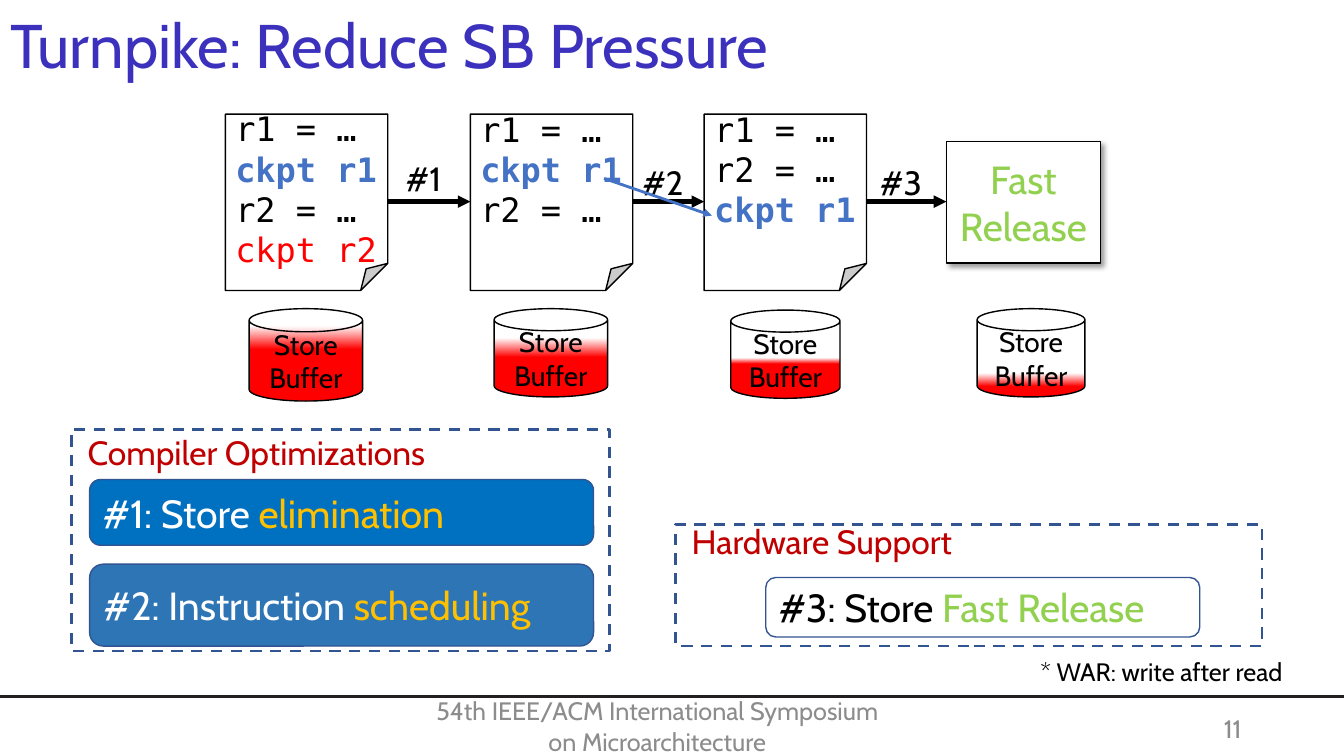
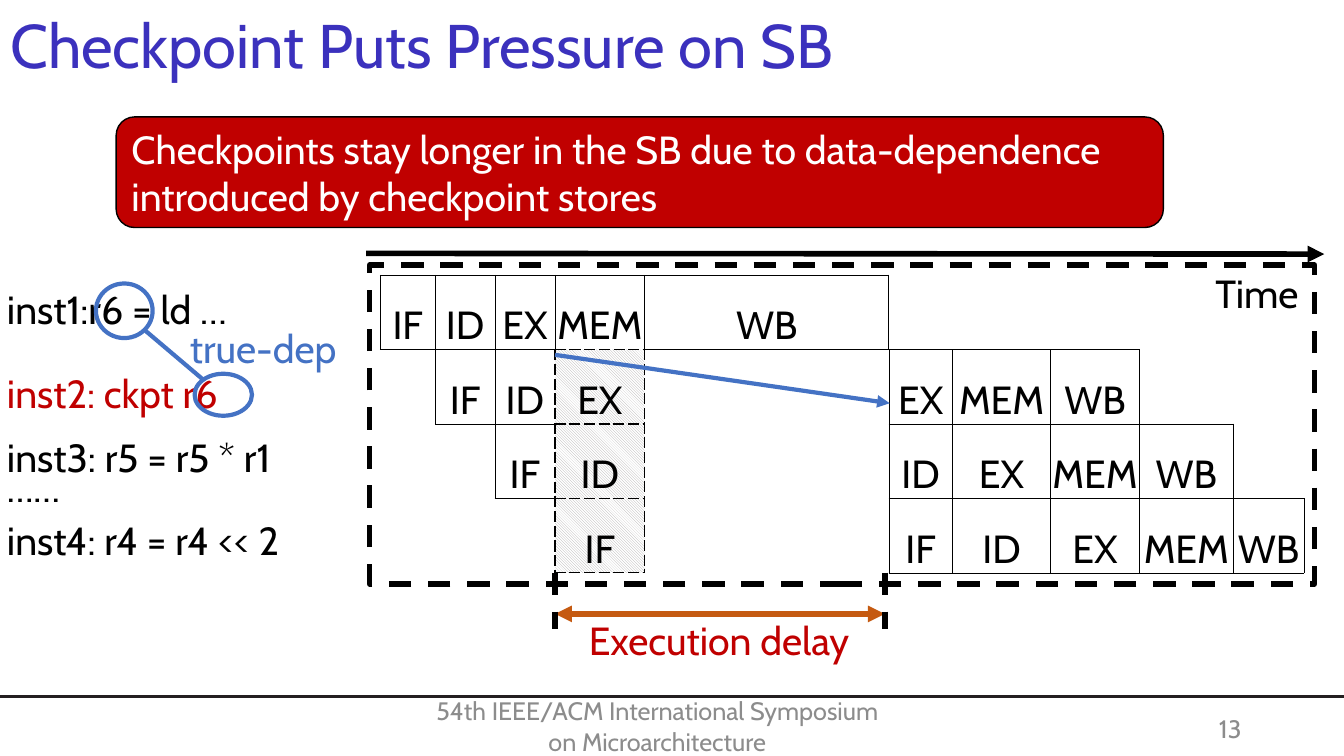
from itertools import accumulate

from lxml.etree import SubElement
from pptx import Presentation
from pptx.dml.color import RGBColor
from pptx.enum.dml import MSO_LINE, MSO_PATTERN
from pptx.enum.shapes import MSO_CONNECTOR, MSO_SHAPE
from pptx.enum.text import MSO_ANCHOR, MSO_AUTO_SIZE, PP_ALIGN
from pptx.oxml.ns import qn
from pptx.util import Pt

COLORS = {
    "title": "3B31BD", "footer": "8C8C8C", "rule": "231F20",
    "black": "000000", "white": "FFFFFF", "red": "FF0000",
    "crimson": "C00000", "blue": "4472C4", "navy": "325491",
    "bar": "0070C0", "bar_soft": "2E75B6", "gold": "FFC000",
    "green": "92D050", "orange": "C55A11", "hatch": "AEAAAA",
}
FONT, CODE_FONT = "Cabin", "DejaVu Sans Mono"
LEFT, CENTER, RIGHT = PP_ALIGN.LEFT, PP_ALIGN.CENTER, PP_ALIGN.RIGHT
TOP, MIDDLE = MSO_ANCHOR.TOP, MSO_ANCHOR.MIDDLE


def rgb(name):
    return RGBColor.from_string(COLORS[name])


def points(*lengths):
    return [Pt(length) for length in lengths]


def write(frame, paras, size, align=LEFT, anchor=MIDDLE, font=FONT):
    """Fill a text frame; each paragraph is a list of (text, colour) spans, bold if a third item is true."""
    frame.word_wrap = True
    frame.vertical_anchor = anchor
    for index, spans in enumerate(paras):
        para = frame.add_paragraph() if index else frame.paragraphs[0]
        para.alignment = align
        for text, color, *bold in spans:
            span = para.add_run()
            span.text = text
            span.font.name = font
            span.font.size = Pt(size)
            span.font.bold = any(bold)
            span.font.color.rgb = rgb(color)


def add_label(page, box, text, size, color="black", align=LEFT, anchor=TOP):
    label = page.shapes.add_textbox(*points(*box))
    write(label.text_frame, [[(text, color)]], size, align, anchor)
    return label


def add_box(page, kind, box, fill=None, line="black", width=1, dash=None):
    shape = page.shapes.add_shape(kind, *points(*box))
    shape.shadow.inherit = False
    if fill:
        shape.fill.solid()
        shape.fill.fore_color.rgb = rgb(fill)
    else:
        shape.fill.background()
    shape.line.color.rgb = rgb(line)
    shape.line.width = Pt(width)
    if dash:
        shape.line.dash_style = dash
    return shape


def add_line(page, start, end, color="black", width=3, ends=(), dash=None):
    """Draw a line with a triangle at each of the named ends (headEnd, tailEnd)."""
    line = page.shapes.add_connector(MSO_CONNECTOR.STRAIGHT, *points(*start, *end))
    line.line.color.rgb = rgb(color)
    line.line.width = Pt(width)
    if dash:
        line.line.dash_style = dash
    outline = line.line._get_or_add_ln()
    for name in ends:
        SubElement(outline, qn(f"a:{name}"), type="triangle")
    SubElement(line._element.spPr, qn("a:effectLst"))


def add_page(deck, title, number, title_width):
    """Add a slide with the shared title, rule and footer."""
    page = deck.slides.add_slide(deck.slide_layouts[5])
    heading = page.shapes.title
    heading.left, heading.top, heading.width, heading.height = points(0, 0, title_width, 62)
    write(heading.text_frame, [[(title, "title")]], 44)
    heading.text_frame.auto_size = MSO_AUTO_SIZE.NONE
    add_line(page, (0, 497.5), (960, 497.5), "rule", 1.5)
    add_label(page, (297.5, 502, 344, 33),
              "54th IEEE/ACM International Symposium on Microarchitecture",
              18, "footer", CENTER, MIDDLE)
    add_label(page, (678, 506, 216, 29), number, 18, "footer", RIGHT, MIDDLE)
    return page


def add_code_note(page, box, lines):
    note = add_box(page, MSO_SHAPE.FOLDED_CORNER, box, "white")
    write(note.text_frame, [[line] for line in lines], 24, font=CODE_FONT)
    note.text_frame.margin_top = note.text_frame.margin_right = 0
    note.text_frame.margin_bottom = Pt(28 * (4 - len(lines)))


def add_store_buffer(page, box, full, empty):
    """Draw a buffer filled with red up to a share of its height, fading out at another."""
    can = add_box(page, MSO_SHAPE.CAN, box, "white")
    can.fill.gradient()
    can.fill.gradient_angle = 90
    for stop, position, color in zip(can.fill.gradient_stops, (full, empty), ("red", "white")):
        stop.position = position
        stop.color.rgb = rgb(color)
    write(can.text_frame, [[("Store Buffer", "black")]], 20, CENTER)


def add_release_card(page, box):
    card = add_box(page, MSO_SHAPE.RECTANGLE, box, "white")
    effects = card._element.spPr.find(qn("a:effectLst"))
    shadow = SubElement(effects, qn("a:outerShdw"), blurRad=str(Pt(4)), dist=str(Pt(3)),
                        dir="2700000", algn="tl", rotWithShape="0")
    shade = SubElement(shadow, qn("a:srgbClr"), val=COLORS["black"])
    SubElement(shade, qn("a:alpha"), val="40000")
    write(card.text_frame, [[("Fast Release", "green")]], 28, CENTER)


def add_optimization_flow(page, left, top):
    """Draw code notes, the arrows between them and the buffers below."""
    r1, r2 = ("r1 = …", "black"), ("r2 = …", "black")
    ckpt = ("ckpt r1", "blue", True)
    notes = [(0, [r1, ckpt, r2, ("ckpt r2", "red")]),
             (175, [r1, ckpt, r2]),
             (342, [r1, r2, ckpt])]
    for x, lines in notes:
        add_code_note(page, (left + x, top, 116, 126), lines)
    for text, start, end, lift in (("#1", 116, 175, 35), ("#2", 291, 342, 32), ("#3", 458, 515, 32)):
        y = top + 62.5
        add_line(page, (left + start, y), (left + end, y), ends=["tailEnd"])
        middle = left + (start + end) / 2 - 4
        add_label(page, (middle - 23, y - lift, 46, 36), text, 24, align=CENTER)
    buffers = [((17, 139, 81, 66), 0.56, 0.82), ((192, 139, 81, 63), 0.45, 0.67),
               ((361, 140, 78, 63), 0.39, 0.46), ((537, 139, 77, 63), 0.12, 0.27)]
    for (x, y, width, height), full, empty in buffers:
        add_store_buffer(page, (left + x, top + y, width, height), full, empty)
    add_line(page, (left + 270.5, top + 46), (left + 347.5, top + 72.5), "blue", 2, ["tailEnd"])
    add_release_card(page, (left + 515, top + 19.5, 110, 87))


def add_panel(page, box, heading, lift, bars):
    """Draw a dashed panel with a heading and bars placed from its corner."""
    left, top, width, height = box
    add_box(page, MSO_SHAPE.RECTANGLE, box, None, "navy", 2, MSO_LINE.DASH)
    add_label(page, (left + 4.5, top - lift, width - 9, 36), heading, 24, "crimson")
    for (x, y, bar_width, bar_height), fill, spans in bars:
        bar = add_box(page, MSO_SHAPE.ROUNDED_RECTANGLE,
                      (left + x, top + y, bar_width, bar_height), fill, "navy")
        write(bar.text_frame, [spans], 28)


def build_reduction_page(deck):
    page = add_page(deck, "Turnpike: Reduce SB Pressure", "11", 658)
    add_optimization_flow(page, 161, 81.5)
    add_panel(page, (51, 307, 384.5, 158), "Compiler Optimizations", 2, [
        ((13, 35.5, 360, 47), "bar", [("#1: Store ", "white"), ("elimination", "gold")]),
        ((13, 96, 360, 58.5), "bar_soft", [("#2: Instruction", "white"), (" scheduling", "gold")]),
    ])
    add_panel(page, (482.5, 374.5, 419, 87), "Hardware Support", 6, [
        ((64.5, 38, 310, 42.5), "white", [("#3: Store ", "black"), ("Fast Release", "green")]),
    ])
    add_label(page, (736, 465, 205, 29), "* WAR: write after read", 18)


STAGES = [row.split() for row in (
    "IF ID EX MEM WB - - - - -",
    "- IF ID EX wait EX MEM WB - -",
    "- - IF ID wait ID EX MEM WB -",
    "- - - IF wait IF ID EX MEM WB",
)]
STAGE_WIDTHS = [39.5, 42.5, 43, 64, 174.5, 45.5, 70, 63.5, 67, 50.5]
STALL_COLUMN, WAIT_COLUMN = 3, 4
EDGES = {"L": (0, -1), "R": (0, 1), "T": (-1, 0), "B": (1, 0)}


def is_stalled(row, column):
    return row > 0 and column == STALL_COLUMN


def edge_rank(row, column):
    """Rank a cell's border: 0 none, 1 thin, 2 solid, 3 dashed."""
    if not (0 <= row < len(STAGES) and 0 <= column < len(STAGE_WIDTHS)):
        return 0
    if is_stalled(row, column):
        return 3
    if (row, column) == (0, WAIT_COLUMN):
        return 2
    return int(STAGES[row][column] != "-")


def set_borders(cell, row, column):
    """Give each edge the stronger border of the two cells that share it."""
    properties = cell._tc.get_or_add_tcPr()
    for index, (side, (down, across)) in enumerate(EDGES.items()):
        rank = max(edge_rank(row, column), edge_rank(row + down, column + across))
        if column == WAIT_COLUMN and row > 0 and 0 < row + down < len(STAGES) and down:
            rank = 0
        edge = properties.makeelement(qn(f"a:ln{side}"), w=str(Pt(0.5 if rank < 2 else 1)))
        properties.insert(index, edge)
        if not rank:
            SubElement(edge, qn("a:noFill"))
            continue
        SubElement(SubElement(edge, qn("a:solidFill")), qn("a:srgbClr"), val=COLORS["black"])
        SubElement(edge, qn("a:prstDash"), val="dash" if rank == 3 else "solid")


def add_stage_table(page, left, top):
    size = (sum(STAGE_WIDTHS), 53.2 * len(STAGES))
    table = page.shapes.add_table(len(STAGES), len(STAGE_WIDTHS), *points(left, top, *size)).table
    table.first_row = table.horz_banding = False
    for column, width in zip(table.columns, STAGE_WIDTHS):
        column.width = Pt(width)
    for row, names in enumerate(STAGES):
        for column, name in enumerate(names):
            cell = table.cell(row, column)
            cell.margin_left = cell.margin_right = cell.margin_top = Pt(0.5)
            cell.margin_bottom = 0
            if is_stalled(row, column):
                cell.fill.patterned()
                cell.fill.pattern = MSO_PATTERN.LIGHT_DOWNWARD_DIAGONAL
                cell.fill.fore_color.rgb = rgb("hatch")
                cell.fill.back_color.rgb = rgb("white")
            else:
                cell.fill.background()
            if name not in ("-", "wait"):
                write(cell.text_frame, [[(name, "black")]], 28, CENTER)
            cell.vertical_anchor = MSO_ANCHOR.BOTTOM
            set_borders(cell, row, column)
    table.cell(1, WAIT_COLUMN).merge(table.cell(len(STAGES) - 1, WAIT_COLUMN))


def add_timeline(page, box):
    """Draw the pipeline chart in a dashed frame, with time above and delay below."""
    left, top, width, height = box
    bottom = top + height
    table_left = left + 7.5
    edges = [table_left + x for x in accumulate(STAGE_WIDTHS, initial=0)]
    start, end = edges[STALL_COLUMN], edges[WAIT_COLUMN + 1] - 3
    add_line(page, (start, bottom + 21.5), (end, bottom + 21.5), "orange", 4, ["headEnd", "tailEnd"])
    add_label(page, (start + 17, bottom + 19.5, 218, 41), "Execution delay", 28, "crimson")
    add_line(page, (left - 2.5, top - 8.5), (left + width + 7, top - 8), "black", 4, ["tailEnd"])
    add_label(page, (left + width - 78, top - 1, 76, 41), "Time", 28)
    add_box(page, MSO_SHAPE.RECTANGLE, box, None, "black", 4, MSO_LINE.DASH)
    for x in (start, end):
        add_line(page, (x, bottom - 8), (x, bottom + 32.5), "black", 4, dash=MSO_LINE.DASH)
    add_stage_table(page, table_left, top + 7)
    add_line(page, (start, top + 64), (end + 3.5, top + 98.5), "blue", 3, ["tailEnd"])


def add_instructions(page, left, top):
    """List the instructions and mark the dependence between the first two."""
    lines = [(0, "inst1:r6 = ld …", "black"), (60, "inst2: ckpt r6", "crimson"),
             (106, "inst3: r5 = r5 * r1", "black"), (127.5, "……", "black"),
             (165, "inst4: r4 = r4 << 2", "black")]
    for y, text, color in lines:
        label = add_label(page, (left, top + y, 256, 41), text, 28, color)
        label.text_frame.margin_left = Pt(5)
    for x, y, width, height in ((139, 67, 41, 30), (68.5, 2.5, 40.5, 39)):
        add_box(page, MSO_SHAPE.OVAL, (left + x, top + y, width, height), None, "blue", 3)
    add_line(page, (left + 103, top + 35.5), (left + 145.5, top + 71.5), "blue")
    add_label(page, (left + 120, top + 28, 136, 41), "true-dep", 28, "blue", CENTER)


def build_pressure_page(deck):
    page = add_page(deck, "Checkpoint Puts Pressure on SB", "13", 642)
    add_timeline(page, (264, 189.5, 675, 227.5))
    banner = add_box(page, MSO_SHAPE.ROUNDED_RECTANGLE, (83, 83.5, 748, 79), "crimson")
    message = ("Checkpoints stay longer in the SB due to data-dependence "
               "introduced by checkpoint stores")
    write(banner.text_frame, [[(message, "white")]], 28)
    add_instructions(page, 0, 200)


def main():
    deck = Presentation()
    deck.slide_width, deck.slide_height = points(960, 540)
    build_reduction_page(deck)
    build_pressure_page(deck)
    deck.save("out.pptx")


if __name__ == "__main__":
    main()
